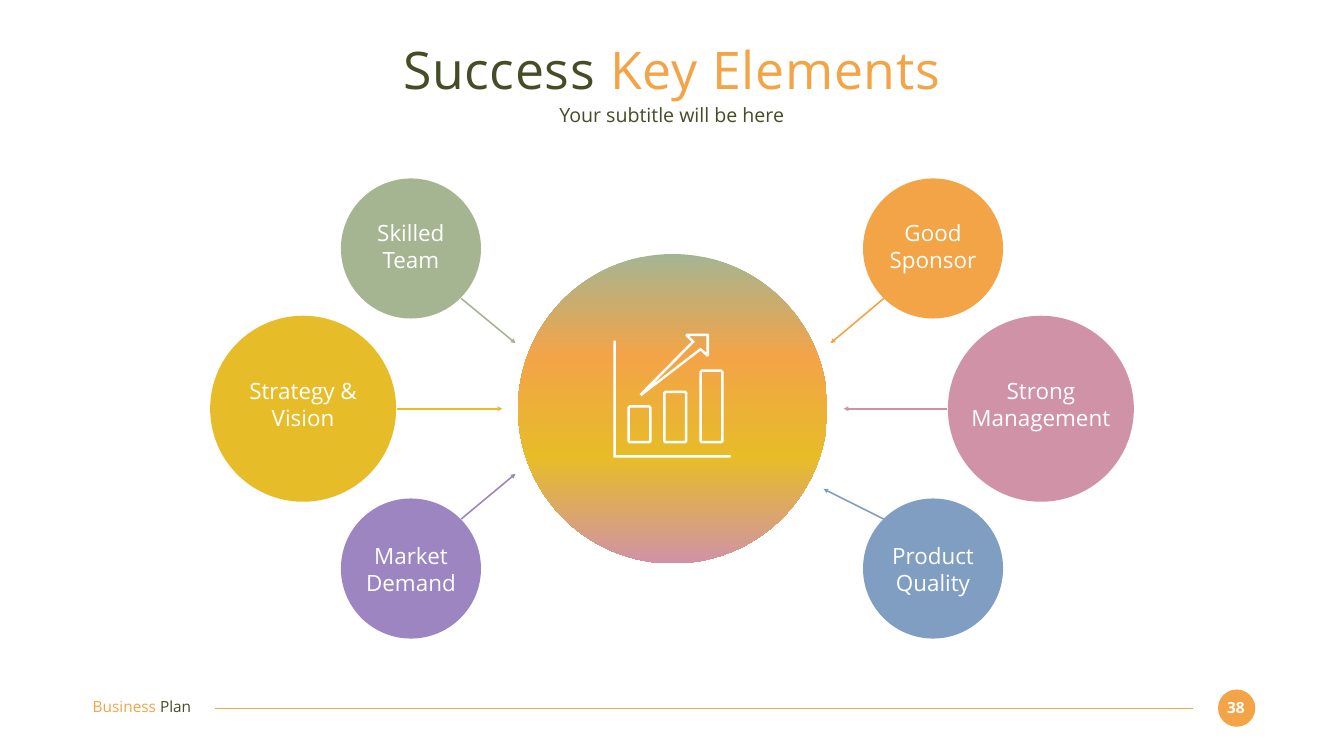
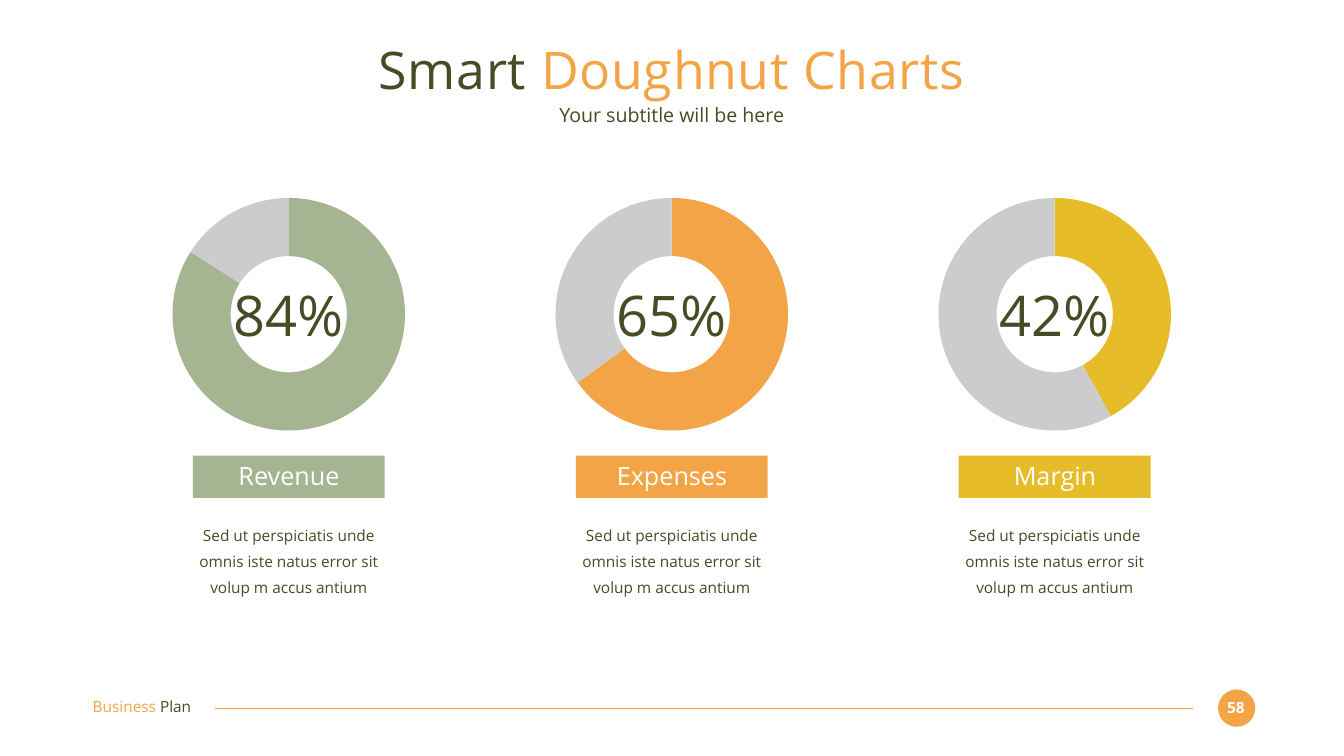
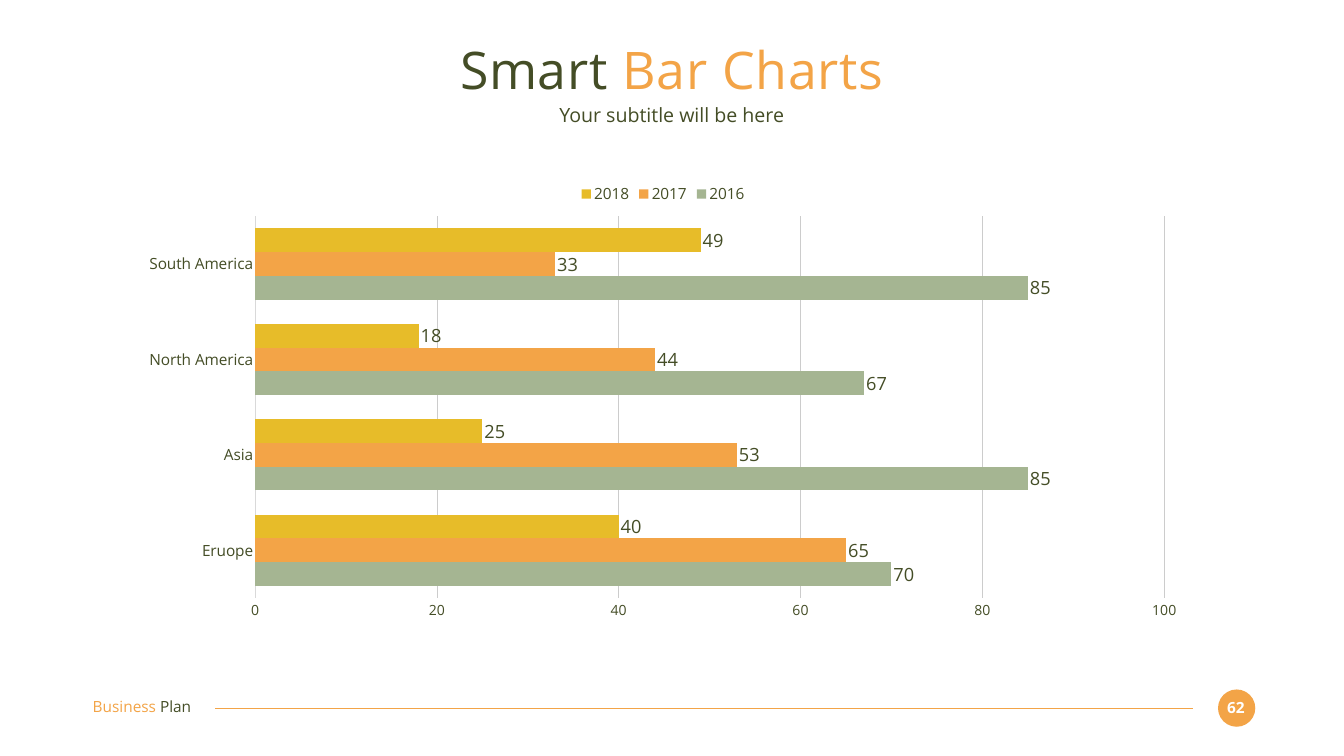
import lxml.etree
import pptx
import pptx.chart.data
import pptx.dml.color
import pptx.enum.chart
import pptx.enum.dml
import pptx.enum.shapes
import pptx.enum.text
import pptx.oxml
import pptx.oxml.ns
import pptx.util

COLUMNS, ROWS = 26.67, 15
CENTRE, MIDDLE = COLUMNS / 2, 8.11
FONT = "Open Sans"
OLIVE = pptx.dml.color.RGBColor(0x44, 0x4D, 0x26)
ORANGE = pptx.dml.color.RGBColor(0xF3, 0xA4, 0x47)
SAGE = pptx.dml.color.RGBColor(0xA5, 0xB5, 0x92)
GOLD = pptx.dml.color.RGBColor(0xE7, 0xBC, 0x29)
PURPLE = pptx.dml.color.RGBColor(0x9C, 0x85, 0xC0)
PINK = pptx.dml.color.RGBColor(0xD0, 0x92, 0xA7)
BLUE = pptx.dml.color.RGBColor(0x80, 0x9E, 0xC2)
GREY = pptx.dml.color.RGBColor(0xCC, 0xCC, 0xCC)
AXIS_GREY = pptx.dml.color.RGBColor(0xD9, 0xD9, 0xD9)
WHITE = pptx.dml.color.RGBColor(0xFF, 0xFF, 0xFF)

OVAL = pptx.enum.shapes.MSO_SHAPE.OVAL
RECTANGLE = pptx.enum.shapes.MSO_SHAPE.RECTANGLE
CENTERED = pptx.enum.text.PP_ALIGN.CENTER
ANCHOR_MIDDLE = pptx.enum.text.MSO_ANCHOR.MIDDLE


def grid(*cells):
    """Turn counts of one-inch grid cells into lengths."""
    return [pptx.util.Inches(cell) for cell in cells]


def style_font(font, size, color, bold=None):
    """Apply the deck font with a size and a colour."""
    font.name = FONT
    font.size = pptx.util.Pt(size)
    font.bold = bold
    font.color.rgb = color


def fill_text(frame, paragraphs, size, align=CENTERED, bold=None, spacing=None):
    """Write paragraphs, each a list of (text, colour) runs, without margins."""
    frame.word_wrap = True
    frame.margin_left = frame.margin_right = frame.margin_top = frame.margin_bottom = 0
    for index, runs in enumerate(paragraphs):
        para = frame.add_paragraph() if index else frame.paragraphs[0]
        para.alignment = align
        if spacing:
            para.line_spacing = spacing
        for text, color in runs:
            span = para.add_run()
            span.text = text
            style_font(span.font, size, color, bold)


def add_text(page, place, paragraphs, size, **options):
    """Add a text box that grows with its text."""
    box = page.shapes.add_textbox(*grid(*place))
    fill_text(box.text_frame, paragraphs, size, **options)
    box.text_frame.auto_size = pptx.enum.text.MSO_AUTO_SIZE.SHAPE_TO_FIT_TEXT
    return box


def add_block(page, kind, place, color):
    """Add a flat preset shape."""
    block = page.shapes.add_shape(kind, *grid(*place))
    block.shadow.inherit = False
    block.fill.solid()
    block.fill.fore_color.rgb = color
    block.line.fill.background()
    return block


def add_circle(page, x, y, diameter, color):
    """Add a flat circle around a centre point."""
    place = x - diameter / 2, y - diameter / 2, diameter, diameter
    return add_block(page, OVAL, place, color)


def add_line(page, start, end, color, width, arrow=False):
    """Add a straight line, with an arrowhead at its end if asked."""
    straight = pptx.enum.shapes.MSO_CONNECTOR.STRAIGHT
    line = page.shapes.add_connector(straight, *grid(*start, *end))
    line.line.color.rgb = color
    line.line.width = pptx.util.Pt(width)
    properties = line._element.spPr
    if arrow:
        head = lxml.etree.SubElement(line.line._get_or_add_ln(), pptx.oxml.ns.qn("a:tailEnd"))
        head.set("type", "triangle")
    lxml.etree.SubElement(properties, pptx.oxml.ns.qn("a:effectLst"))


def add_page(deck, number, first_words, last_words):
    """Add a page with its title, subtitle and footer."""
    page = deck.slides.add_slide(deck.slide_layouts[5])
    title = page.shapes.title
    title.left, title.top, title.width, title.height = grid(1.83, 0.73, 23, 1.27)
    fill_text(title.text_frame, [[(first_words + " ", OLIVE), (last_words, ORANGE)]], 74)
    title.text_frame.auto_size = pptx.enum.text.MSO_AUTO_SIZE.NONE
    title.text_frame.vertical_anchor = ANCHOR_MIDDLE
    for span in title.text_frame.paragraphs[0].runs:
        span.font._element.set("spc", "100")
    subtitle = page.shapes.add_textbox(*grid(1.83, 2.03, 23, 0.49))
    fill_text(subtitle.text_frame, [[("Your subtitle will be here", OLIVE)]], 28)
    subtitle.text_frame.vertical_anchor = ANCHOR_MIDDLE
    add_circle(page, 24.54, 14.05, 0.74, ORANGE)
    add_text(page, (24.23, 13.85, 0.59, 0.37), [[(str(number), WHITE)]], 22, bold=True)
    add_line(page, (23.67, 14.05), (4.27, 14.05), ORANGE, 1.5)
    add_text(page, (1.84, 13.84, 2.59, 0.37), [[("Business ", ORANGE), ("Plan", OLIVE)]], 22,
             align=pptx.enum.text.PP_ALIGN.LEFT)
    return page


def set_gradient(shape, stops):
    """Fill a shape from top to bottom with (percent, colour) stops."""
    shape.fill.gradient()
    shape.fill.gradient_angle = 270
    stop_list = shape._element.spPr.find(".//" + pptx.oxml.ns.qn("a:gsLst"))
    for old_stop in list(stop_list):
        stop_list.remove(old_stop)
    for percent, color in stops:
        stop = lxml.etree.SubElement(stop_list, pptx.oxml.ns.qn("a:gs"), pos=str(percent * 1000))
        lxml.etree.SubElement(stop, pptx.oxml.ns.qn("a:srgbClr"), val=str(color))


def soft_rectangle(left, top, right, bottom, cut):
    """List the corners of a rectangle with cut corners."""
    return [(left + cut, top), (right - cut, top), (right, top + cut), (right, bottom - cut),
            (right - cut, bottom), (left + cut, bottom), (left, bottom - cut), (left, top + cut)]


def add_growth_icon(page):
    """Add the outlined axes, bars and rising arrow."""
    stroke = 0.05
    outlines = [[(12.17, 6.76), (12.22, 6.76), (12.22, 9.03), (14.5, 9.03), (14.5, 9.08), (12.17, 9.08)]]
    for left, top in ((12.45, 8.04), (13.16, 7.75), (13.88, 7.33)):
        right, bottom = left + 0.48, 8.8
        outlines.append(soft_rectangle(left, top, right, bottom, 0.04))
        outlines.append(soft_rectangle(left + stroke, top + stroke, right - stroke, bottom - stroke, 0.01))
    outlines.append([(12.69, 7.82), (13.72, 6.78), (13.6, 6.66), (13.62, 6.62), (14.05, 6.62),
                     (14.07, 6.64), (14.07, 7.06), (14.03, 7.08), (13.9, 6.96), (12.73, 7.86)])
    outlines.append([(12.94, 7.64), (13.9, 6.9), (14.02, 7), (14.02, 6.67), (13.68, 6.67), (13.79, 6.78)])
    paths = [[grid(*point) for point in outline] for outline in outlines]
    builder = page.shapes.build_freeform(*paths[0][0], scale=1.0)
    for index, points in enumerate(paths):
        if index:
            builder.move_to(*points[0])
        builder.add_line_segments(points[1:], close=True)
    icon = builder.convert_to_shape()
    icon.shadow.inherit = False
    icon.fill.solid()
    icon.fill.fore_color.rgb = WHITE
    icon.line.fill.background()


def build_key_elements(deck):
    """Build the page with six elements around the growth circle."""
    page = add_page(deck, 38, "Success", "Key Elements")
    near, far, small, large = 5.18, 7.32, 2.78, 3.69
    upper, lower = 4.93, 11.28
    elements = [
        (["Skilled Team"], -near, upper, small, SAGE, 4.34, 2.23, (9.15, 5.92), (10.23, 6.81)),
        (["Strategy & Vision"], -far, MIDDLE, large, GOLD, 7.49, 2.23, (7.87, MIDDLE), (9.97, MIDDLE)),
        (["Market Demand"], -near, lower, small, PURPLE, 10.75, 2.23, (9.15, 10.3), (10.23, 9.4)),
        (["Good Sponsor"], near, upper, small, ORANGE, 4.34, 2.23, (17.54, 5.92), (16.48, 6.81)),
        (["Strong", "Management"], far, MIDDLE, large, PINK, 7.49, 2.91, (18.8, MIDDLE), (16.74, MIDDLE)),
        (["Product Quality"], near, lower, small, BLUE, 10.75, 2.23, (17.54, 10.3), (16.34, 9.7)),
    ]
    for words, offset, y, diameter, color, label_top, label_width, start, end in elements:
        x = CENTRE + offset
        add_circle(page, x, y, diameter, color)
        add_line(page, start, end, color, 2.25, arrow=True)
        add_text(page, (x - label_width / 2, label_top, label_width, 1.08),
                 [[(word, WHITE)] for word in words], 32)
    hub = add_circle(page, 13.35, MIDDLE, 6.14, SAGE)
    set_gradient(hub, [(0, SAGE), (33, ORANGE), (66, GOLD), (100, PINK)])
    add_growth_icon(page)


def add_doughnut(page, place, share, color):
    """Add a doughnut chart of one share and its remainder."""
    data = pptx.chart.data.CategoryChartData()
    data.categories = ["1", "2"]
    data.add_series("Series 1", [share, 100 - share])
    kind = pptx.enum.chart.XL_CHART_TYPE.DOUGHNUT
    chart = page.shapes.add_chart(kind, *grid(*place), data).chart
    chart.has_legend = chart.has_title = False
    chart.font.name = "Calibri"
    chart.font.size = pptx.util.Pt(10)
    chart._chartSpace.find(".//" + pptx.oxml.ns.qn("c:holeSize")).set("val", "88")
    for index, shade in enumerate((color, GREY)):
        point = chart.plots[0].series[0].points[index]
        point.format.fill.solid()
        point.format.fill.fore_color.rgb = shade
        point.format.line.fill.background()


def build_doughnuts(deck):
    """Build the page with three equally spaced doughnuts."""
    page = add_page(deck, 58, "Smart", "Doughnut Charts")
    gap = 7.6
    measures = [("Revenue", 84, SAGE), ("Expenses", 65, ORANGE), ("Margin", 42, GOLD)]
    for index, (name, share, color) in enumerate(measures):
        x = CENTRE + (index - 1) * gap
        add_doughnut(page, (x - 2.45, 3.62, 4.89, 5.23), share, color)
        add_block(page, RECTANGLE, (x - 1.91, 9.04, 3.81, 0.84), color)
        add_text(page, (x - 1.55, 9.13, 3.1, 0.61), [[(name, WHITE)]], 36)
        story = "Sed ut perspiciatis unde omnis iste natus error sit volup m accus antium"
        add_text(page, (x - 2.16, 10.29, 4.31, 1.56), [[(story, OLIVE)]], 22, spacing=1.4)
        add_text(page, (x - 1.19, 5.56, 2.38, 1.35), [[(f"{share}%", OLIVE)]], 80)


def build_bars(deck):
    """Build the page with the bar chart by region and year."""
    page = add_page(deck, 62, "Smart", "Bar Charts")
    years = [("2016", (70, 85, 67, 85), SAGE), ("2017", (65, 53, 44, 33), ORANGE),
             ("2018", (40, 25, 18, 49), GOLD)]
    data = pptx.chart.data.CategoryChartData()
    data.categories = ["Eruope", "Asia", "North America", "South America"]
    for year, values, _ in years:
        data.add_series(year, values)
    kind = pptx.enum.chart.XL_CHART_TYPE.BAR_CLUSTERED
    chart = page.shapes.add_chart(kind, *grid(2.54, 3.51, 21.23, 8.96), data).chart
    chart.has_title = False
    style_font(chart.font, 22, OLIVE)
    chart.has_legend = True
    chart.legend.position = pptx.enum.chart.XL_LEGEND_POSITION.TOP
    chart.legend.include_in_layout = False
    style_font(chart.legend.font, 22, OLIVE)
    plot = chart.plots[0]
    plot.gap_width = 102
    plot.vary_by_categories = False
    for series, (_, _, color) in zip(plot.series, years):
        series.format.fill.solid()
        series.format.fill.fore_color.rgb = color
        series.data_labels.show_value = True
        style_font(series.data_labels.font, 26, OLIVE)
    for axis, size in ((chart.category_axis, 22), (chart.value_axis, 20)):
        axis.major_tick_mark = axis.minor_tick_mark = pptx.enum.chart.XL_TICK_MARK.NONE
        style_font(axis.tick_labels.font, size, OLIVE)
    chart.category_axis.format.line.color.rgb = AXIS_GREY
    chart.category_axis.format.line.width = pptx.util.Pt(0.75)
    chart.value_axis.format.line.fill.background()
    chart.value_axis.major_unit = 20
    chart.value_axis.has_major_gridlines = True
    chart.value_axis.major_gridlines.format.line.color.rgb = GREY
    chart.value_axis.major_gridlines.format.line.width = pptx.util.Pt(1)


def main():
    """Build and save the deck."""
    deck = pptx.Presentation()
    deck.slide_width, deck.slide_height = grid(COLUMNS, ROWS)
    build_key_elements(deck)
    build_doughnuts(deck)
    build_bars(deck)
    deck.save("out.pptx")


if __name__ == "__main__":
    main()
